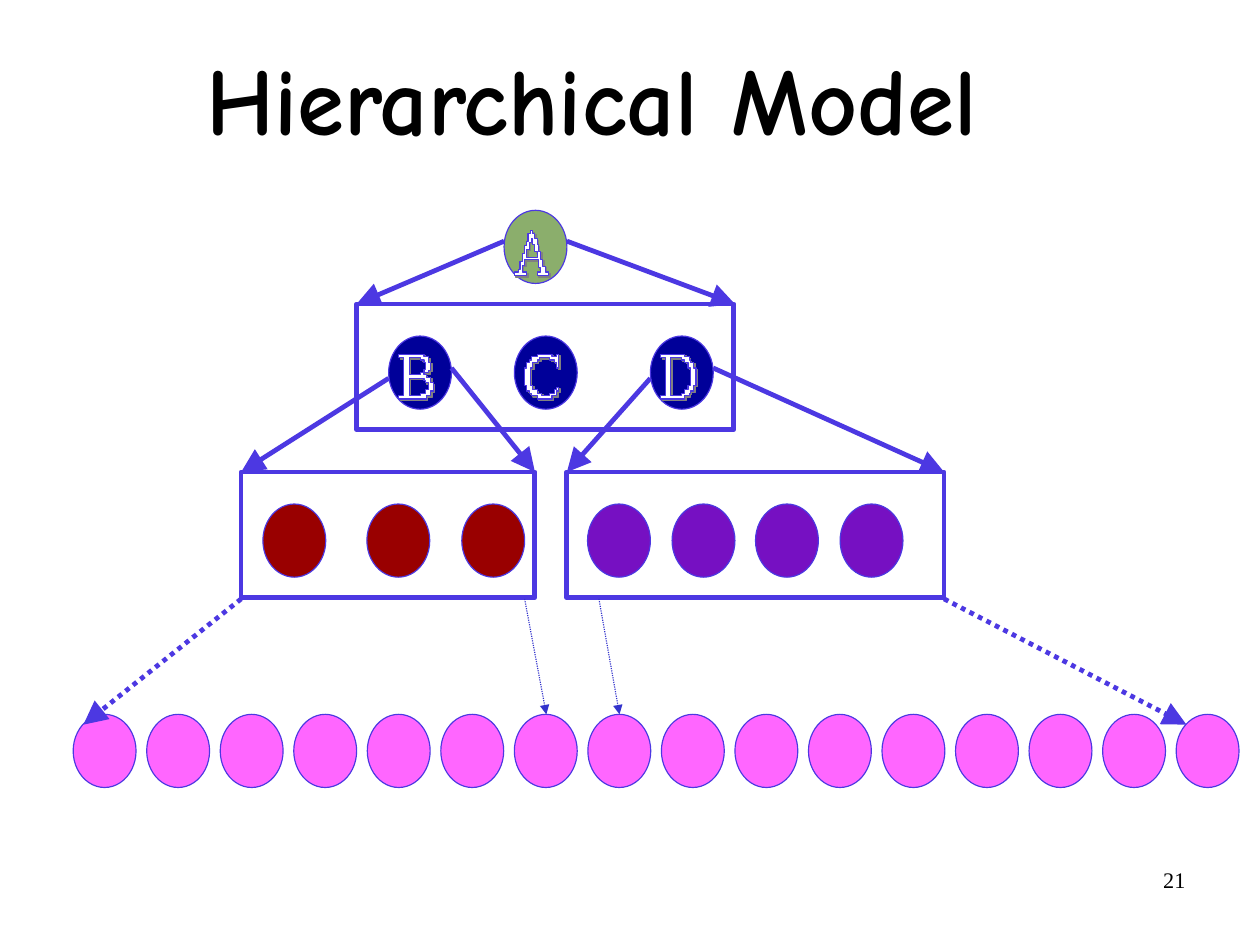
from pptx import Presentation
from pptx.dml.color import RGBColor
from pptx.enum.dml import MSO_LINE
from pptx.enum.shapes import MSO_CONNECTOR, MSO_SHAPE
from pptx.enum.text import MSO_ANCHOR, PP_ALIGN
from pptx.oxml import parse_xml
from pptx.oxml.ns import nsdecls
from pptx.oxml.xmlchemy import OxmlElement
from pptx.util import Inches, Pt

COLORS = {
    "text": "000000", "line": "4C38E2", "thin": "3333CC", "letter": "FFFFFF",
    "root": "8BAE6C", "branch": "000099", "left": "990000",
    "right": "7610C2", "leaf": "FF66FF", "shadow": "808080",
}
NODE_WIDTH, NODE_HEIGHT = 0.55, 0.64
LEAF_STEP = 9.65 / 15

# Every second corner of each stepped letter outline, in hundredths of an inch
LETTERS = {
    "A": [
        [(14, 0), (16, 2), (18, 7), (20, 12), (21, 18), (23, 25), (25, 31),
         (27, 36), (30, 39), (20, 36), (23, 32), (21, 25), (9, 30), (7, 36),
         (11, 39), (0, 36), (4, 34), (5, 27), (7, 20), (9, 13), (11, 9), (12, 2)],
        [(15, 7), (16, 12), (18, 18), (20, 23), (11, 16), (13, 10)],
    ],
    "B": [
        [(0, 0), (22, 2), (26, 7), (28, 14), (26, 16), (22, 18), (24, 20),
         (28, 25), (30, 32), (28, 36), (24, 39), (0, 36), (4, 3)],
        [(9, 3), (19, 5), (22, 7), (23, 13), (22, 16), (19, 18)],
        [(9, 21), (22, 23), (23, 25), (26, 31), (23, 34), (19, 36)],
    ],
    "C": [
        [(11, 0), (24, 2), (28, 0), (30, 12), (28, 7), (26, 5), (22, 3), (13, 5),
         (11, 7), (7, 12), (5, 27), (7, 31), (11, 34), (15, 36), (22, 34),
         (26, 31), (28, 29), (30, 32), (28, 36), (24, 39), (11, 36), (6, 34),
         (4, 32), (2, 27), (0, 12), (2, 7), (4, 5), (6, 2)],
    ],
    "D": [
        [(0, 0), (21, 2), (25, 5), (26, 7), (29, 12), (31, 27), (29, 32),
         (26, 34), (25, 36), (21, 39), (0, 36), (4, 3)],
        [(9, 3), (18, 5), (21, 7), (24, 12), (26, 27), (24, 31), (21, 34), (18, 36)],
    ],
}


def paint(shape, fill, width):
    """Give a shape its fill (None for hollow), outline width and no shadow."""
    shape.shadow.inherit = False
    if fill:
        shape.fill.solid()
        shape.fill.fore_color.rgb = RGBColor.from_string(COLORS[fill])
    else:
        shape.fill.background()
    shape.line.color.rgb = RGBColor.from_string(COLORS["line"])
    shape.line.width = Pt(width)


def write(box, text, place, margins, font, align):
    box.left, box.top, box.width, box.height = map(Inches, place)
    frame = box.text_frame
    frame.word_wrap = True
    frame.margin_left = frame.margin_right = Inches(margins[0])
    frame.margin_top = frame.margin_bottom = Inches(margins[1])
    para = frame.paragraphs[0]
    para.alignment = align
    span = para.add_run()
    span.text = text
    for name, value in font.items():
        setattr(span.font, name, value)
    span.font.color.rgb = RGBColor.from_string(COLORS["text"])


deck = Presentation()
# The page measures 28 by 21 centimetres
deck.slide_width, deck.slide_height = Inches(28 / 2.54), Inches(21 / 2.54)
page = deck.slides.add_slide(deck.slide_layouts[5])
shapes = page.shapes

title = shapes.title
write(title, "Hierarchical Model", (0.49, 0.22, 9.37, 1.37), (0.02, 0.06),
      {"name": "Comic Neue", "size": Pt(60), "bold": True}, PP_ALIGN.CENTER)
title.text_frame.vertical_anchor = MSO_ANCHOR.MIDDLE
title.text_frame.paragraphs[0].line_spacing = 0.94
title.text_frame.paragraphs[0].space_before = Pt(9.9)

page_number = shapes.add_textbox(0, 0, 0, 0)
write(page_number, "21", (7.9, 7.53, 2.57, 0.57), (0.1, 0.05),
      {"name": "Times New Roman", "size": Pt(14)}, PP_ALIGN.RIGHT)

node_rows = [
    ("root", 1.84, [4.41]),
    ("branch", 2.94, [3.4, 4.5, 5.69]),
    ("left", 4.41, [2.3, 3.21, 4.04]),
    ("right", 4.41, [5.14, 5.88, 6.61, 7.35]),
    ("leaf", 6.25, [0.64 + LEAF_STEP * i for i in range(16)]),
]
for fill, top, lefts in node_rows:
    for left in lefts:
        node = shapes.add_shape(MSO_SHAPE.OVAL, Inches(left), Inches(top),
                                Inches(NODE_WIDTH), Inches(NODE_HEIGHT))
        paint(node, fill, 0.75)

for left, top, width in [(3.12, 2.66, 3.3), (2.11, 4.13, 2.57), (4.96, 4.13, 3.3)]:
    group_box = shapes.add_shape(MSO_SHAPE.ROUNDED_RECTANGLE, Inches(left), Inches(top),
                                 Inches(width), Inches(1.1))
    group_box.adjustments[0] = 0
    paint(group_box, None, 3)

letter_places = {"A": (4.5, 2.02), "B": (3.49, 3.1), "C": (4.59, 3.1), "D": (5.78, 3.1)}
for name, (left, top) in letter_places.items():
    builder = None
    for outline in LETTERS[name]:
        if builder is None:
            builder = shapes.build_freeform(*outline[0], scale=Inches(0.01))
        else:
            builder.move_to(*outline[0])
        corners = []
        for (_, y), (next_x, next_y) in zip(outline, outline[1:] + outline[:1]):
            corners += [(next_x, y), (next_x, next_y)]
        builder.add_line_segments(corners, close=True)
    letter = builder.convert_to_shape(Inches(left), Inches(top))
    paint(letter, "letter", 0.75)
    effects = letter._element.spPr.find("{*}effectLst")
    effects.append(parse_xml(
        f'<a:outerShdw {nsdecls("a")} dist="17780" dir="2700000">'
        f'<a:srgbClr val="{COLORS["shadow"]}"/></a:outerShdw>'))

solid = ("line", 3, None, "lg")
dotted = ("line", 3, MSO_LINE.ROUND_DOT, "lg")
thin = ("thin", 0.75, MSO_LINE.ROUND_DOT, "med")
arrows = [
    (4.41, 2.11, 3.12, 2.66, solid),
    (4.96, 2.11, 6.43, 2.66, solid),
    (3.4, 3.31, 2.11, 4.13, solid),
    (3.95, 3.22, 4.68, 4.13, solid),
    (5.69, 3.31, 4.96, 4.13, solid),
    (6.24, 3.22, 8.26, 4.13, solid),
    (2.11, 5.24, 0.73, 6.34, dotted),
    (8.26, 5.24, 10.38, 6.34, dotted),
    (4.59, 5.24, 4.78, 6.25, thin),
    (5.24, 5.24, 5.42, 6.25, thin),
]
for *ends, (color, width, dash, head_size) in arrows:
    arrow = shapes.add_connector(MSO_CONNECTOR.STRAIGHT, *map(Inches, ends))
    arrow.line.color.rgb = RGBColor.from_string(COLORS[color])
    arrow.line.width = Pt(width)
    if dash:
        arrow.line.dash_style = dash
    head = OxmlElement("a:tailEnd")
    for name, value in {"type": "triangle", "w": head_size, "len": head_size}.items():
        head.set(name, value)
    arrow._element.spPr.find("{*}ln").append(head)
    arrow._element.spPr.append(OxmlElement("a:effectLst"))

deck.save("out.pptx")
